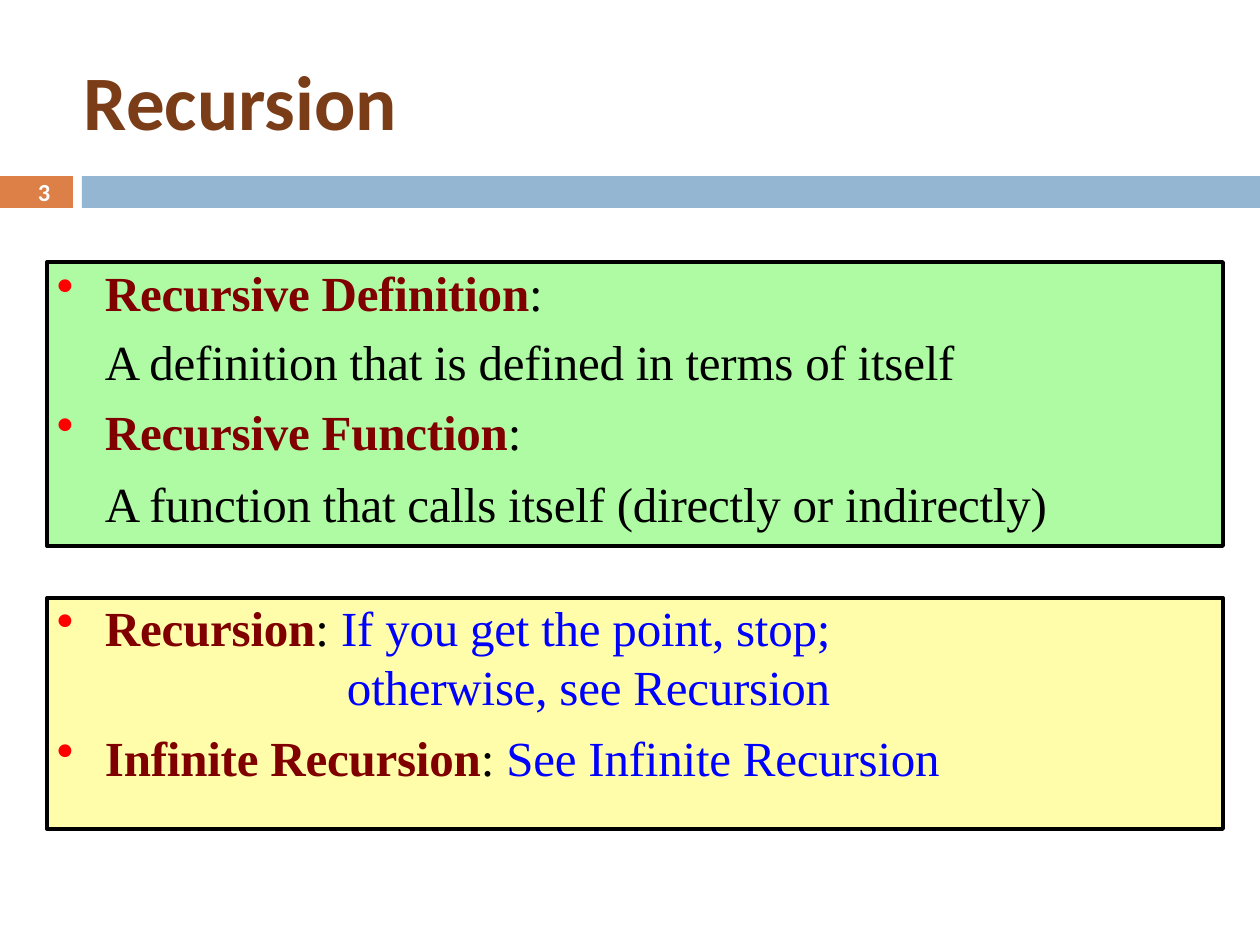
from dataclasses import dataclass
from typing import NamedTuple

from lxml.etree import SubElement
from pptx import Presentation
from pptx.dml.color import RGBColor
from pptx.enum.shapes import MSO_SHAPE as Preset
from pptx.enum.text import MSO_ANCHOR as Anchor, PP_ALIGN as Align
from pptx.oxml.ns import qn
from pptx.util import Emu, Pt

EMU_PER_PX = 914400 / 126


@dataclass(frozen=True)
class Theme:
    heading_font: str = "Calibri"
    body_font: str = "Times New Roman"
    title_size: int = 44
    number_size: int = 14
    body_size: int = 28
    title: str = "7B3D17"
    white: str = "FFFFFF"
    black: str = "000000"
    orange: str = "DD8047"
    blue: str = "94B6D2"
    green: str = "AEFBA3"
    yellow: str = "FFFDA9"
    term: str = "800000"
    answer: str = "0000FF"
    bullet: str = "FF0000"


THEME = Theme()


class Box(NamedTuple):
    left: int
    top: int
    width: int
    height: int


class Line(NamedTuple):
    term: str = ""
    plain: str = ""
    answer: str = ""
    before: float = 0
    indent: int = 58
    spacing: float | None = None


class Panel(NamedTuple):
    box: Box
    fill: str
    lines: list[Line]


def px(length: float) -> Emu:
    return Emu(round(length * EMU_PER_PX))


def rgb(code: str) -> RGBColor:
    return RGBColor.from_string(code)


def add_rect(slide, box: Box, fill: str):
    rect = slide.shapes.add_shape(Preset.RECTANGLE, *map(px, box))
    rect.shadow.inherit = False
    rect.fill.solid()
    rect.fill.fore_color.rgb = rgb(fill)
    rect.line.fill.background()
    return rect


def prepare_frame(frame, anchor: Anchor) -> None:
    frame.word_wrap = True
    frame.vertical_anchor = anchor
    frame.margin_left = frame.margin_top = frame.margin_right = frame.margin_bottom = 0


def add_heading(slide, box: Box, text: str, size: int, color: str,
                align: Align, indent: int = 0) -> None:
    frame = slide.shapes.add_textbox(*map(px, box)).text_frame
    prepare_frame(frame, Anchor.MIDDLE)
    paragraph = frame.paragraphs[0]
    paragraph.text = text
    paragraph.alignment = align
    paragraph._p.get_or_add_pPr().set("marL", str(px(indent)))
    font = paragraph.font
    font.name, font.size, font.bold = THEME.heading_font, Pt(size), True
    font.color.rgb = rgb(color)


def set_indent(paragraph, indent: int, bulleted: bool) -> None:
    props = paragraph._p.get_or_add_pPr()
    props.set("marL", str(px(indent)))
    props.set("indent", str(px(-48 if bulleted else 0)))
    if bulleted:
        color = SubElement(props, qn("a:buClr"))
        SubElement(color, qn("a:srgbClr")).set("val", THEME.bullet)
        SubElement(props, qn("a:buChar")).set("char", "•")


def add_line(paragraph, line: Line) -> None:
    paragraph.alignment = Align.LEFT
    paragraph.space_before = Pt(line.before)
    if line.spacing:
        paragraph.line_spacing = Pt(line.spacing)
    set_indent(paragraph, line.indent, bool(line.term))
    paragraph.font.name = THEME.body_font
    paragraph.font.size = Pt(THEME.body_size)
    parts = ((line.term, THEME.term), (line.plain, THEME.black), (line.answer, THEME.answer))
    for text, color in parts:
        if text:
            run = paragraph.add_run()
            run.text = text
            run.font.bold = text == line.term
            run.font.color.rgb = rgb(color)
            run.font._element.set("spc", "-10")


def add_panel(slide, panel: Panel) -> None:
    rect = add_rect(slide, panel.box, panel.fill)
    rect.line.color.rgb = rgb(THEME.black)
    rect.line.width = Pt(2.25)
    frame = rect.text_frame
    prepare_frame(frame, Anchor.TOP)
    for index, line in enumerate(panel.lines):
        add_line(frame.add_paragraph() if index else frame.paragraphs[0], line)


PANELS = [
    Panel(Box(47, 262, 1176, 284), THEME.green, [
        Line("Recursive Definition", ":"),
        Line(plain="A definition that is defined in terms of itself", before=6.1),
        Line("Recursive Function", ":", before=6.4),
        Line(plain="A function that calls itself (directly or indirectly)", before=7.4),
    ]),
    Panel(Box(47, 598, 1176, 231), THEME.yellow, [
        Line("Recursion", ": ", "If you get the point, stop;", spacing=33.5),
        Line(answer="otherwise, see Recursion", indent=300, spacing=33.5),
        Line("Infinite Recursion", ": ", "See Infinite Recursion", before=7.1),
    ]),
]

presentation = Presentation()
presentation.slide_width, presentation.slide_height = px(1260), px(945)
slide = presentation.slides.add_slide(presentation.slide_layouts[6])

# Header band
number_box = Box(0, 176, 73, 32)
add_rect(slide, number_box, THEME.orange)
add_rect(slide, Box(82, 176, 1178, 32), THEME.blue)

# Title and slide number
add_heading(slide, Box(84, 53, 1124, 93), "Recursion", THEME.title_size, THEME.title, Align.LEFT)
add_heading(slide, number_box, "3", THEME.number_size, THEME.white, Align.CENTER, indent=15)

# Definition panels
for panel in PANELS:
    add_panel(slide, panel)

presentation.save("out.pptx")
